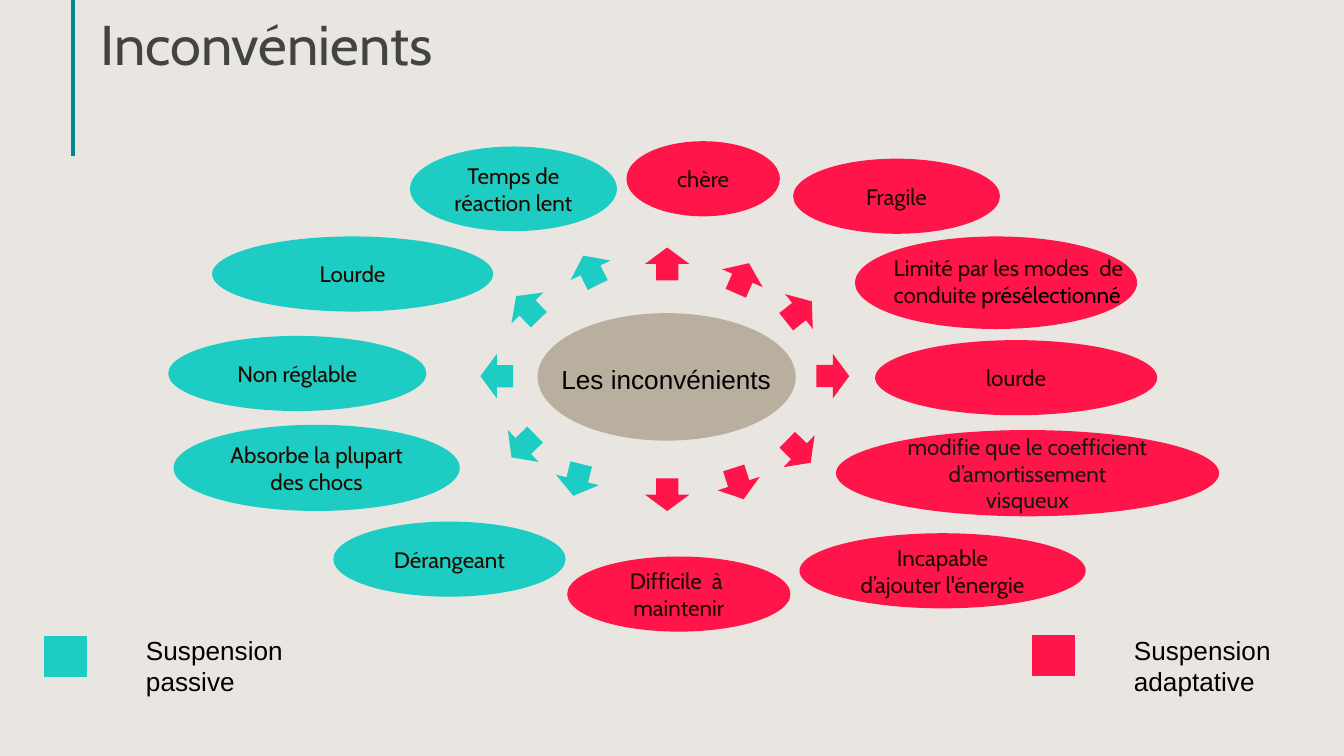
import pptx
import pptx.dml.color
import pptx.enum.shapes
import pptx.enum.text
import pptx.oxml.ns
import pptx.util
from lxml import etree

Cm = pptx.util.Cm
Pt = pptx.util.Pt
Shape = pptx.enum.shapes.MSO_SHAPE
Anchor = pptx.enum.text.MSO_ANCHOR
Align = pptx.enum.text.PP_ALIGN

COLORS = {
    "background": "E9E6E1", "rule": "018790", "title": "434343",
    "passive": "1DCDC3", "adaptive": "FF154A", "hub": "B9AF9F",
    "label": "1F0B00", "long label": "1A1813", "black": "000000",
}


def rgb(name):
    return pptx.dml.color.RGBColor.from_string(COLORS[name])


def add_box(kind, left, top, width, height, fill=None, text="", size=12,
            font="Cabin", color="label", align=Align.LEFT, anchor=Anchor.TOP):
    """Add a filled shape, or a text box when kind is None."""
    area = Cm(left), Cm(top), Cm(width), Cm(height)
    if kind is None:
        box = page.shapes.add_textbox(*area)
    else:
        box = page.shapes.add_shape(kind, *area)
        box.shadow.inherit = False
        box.fill.solid()
        box.fill.fore_color.rgb = rgb(fill)
        box.line.fill.background()
    if text:
        frame = box.text_frame
        frame.word_wrap = True
        frame.vertical_anchor = anchor
        frame.margin_left = frame.margin_right = Cm(0.25)
        frame.margin_top = frame.margin_bottom = Cm(0.25 if size == 30 else 0.13)
        para = frame.paragraphs[0]
        para.text = text
        para.alignment = align
        para.font.size = Pt(size)
        para.font.name = font
        para.font.color.rgb = rgb(color)
    return box


deck = pptx.Presentation()
deck.slide_width, deck.slide_height = Cm(25.4), Cm(14.29)
page = deck.slides.add_slide(deck.slide_layouts[6])
page.background.fill.solid()
page.background.fill.fore_color.rgb = rgb("background")

# Vertical rule and title
rule = page.shapes.add_connector(pptx.enum.shapes.MSO_CONNECTOR.STRAIGHT,
                                 Cm(1.38), Cm(-0.18), Cm(1.38), Cm(2.95))
rule.line.color.rgb = rgb("rule")
rule.line.width = Pt(2.25)
etree.SubElement(rule._element.spPr, pptx.oxml.ns.qn("a:effectLst"))
title = add_box(None, 1.65, 0.1, 12.4, 1.6, text="Inconvénients", size=30,
                color="title", anchor=Anchor.BOTTOM)
title.text_frame.paragraphs[0].line_spacing = 0.8

# Hub
add_box(Shape.OVAL, 10.16, 5.92, 4.88, 2.41, "hub")

# Arrows clockwise from the top: centre x, centre y, rotation
arrow_width, arrow_height = 0.84, 0.62
arrows = [
    (12.61, 4.99, 0), (14.03, 5.26, 23.8), (15.1, 5.89, 51.5),
    (15.74, 7.11, 90), (15.1, 8.53, 134.4), (13.96, 9.14, 162.3),
    (12.61, 9.35, 180), (10.91, 9.07, 193.7), (9.89, 8.43, 225.9),
    (9.39, 7.11, 270), (9.97, 5.82, 316.2), (11.16, 5.11, 333.8),
]
for x, y, angle in arrows:
    arrow = add_box(Shape.UP_ARROW, x - arrow_width / 2, y - arrow_height / 2,
                    arrow_width, arrow_height,
                    "passive" if angle > 180 else "adaptive")
    arrow.rotation = angle

# Bubble whose wider label sits in its own text box
add_box(Shape.OVAL, 16.16, 4.47, 5.33, 1.75, "adaptive")
limits = add_box(None, 16.64, 4.67, 5.72, 1.27,
                 text="Limité par les modes  de conduite ")
span = limits.text_frame.paragraphs[0].add_run()
span.text = "présélectionné"
span.font.color.rgb = rgb("black")

# Labelled bubbles: left, top, width, height, text
bubbles = {
    "passive": [
        (6.3, 9.86, 4.39, 1.42, "Dérangeant"),
        (3.28, 8.03, 5.41, 1.63, "Absorbe la plupart des chocs"),
        (3.18, 6.35, 4.88, 1.42, "Non réglable"),
        (4.01, 4.47, 5.31, 1.42, "Lourde"),
        (7.75, 2.77, 3.91, 1.6, "Temps de réaction lent"),
    ],
    "adaptive": [
        (11.84, 2.67, 2.9, 1.42, "chère"),
        (14.99, 3, 3.91, 1.42, "Fragile"),
        (16.54, 6.43, 5.33, 1.42, "lourde"),
        (15.8, 8.13, 7.24, 1.63,
         "modifie que le coefficient d’amortissement visqueux"),
        (15.11, 10.08, 5.41, 1.42, "Incapable d’ajouter l'énergie"),
        (10.72, 10.52, 4.22, 1.42, "Difficile  à  maintenir"),
    ],
}
for group, items in bubbles.items():
    for left, top, width, height, text in items:
        add_box(Shape.FLOWCHART_CONNECTOR, left, top, width, height, group, text,
                color="long label" if text.startswith("modifie") else "label",
                align=Align.CENTER, anchor=Anchor.MIDDLE)

# Hub label
add_box(Shape.RECTANGLE, 10.36, 6.73, 4.5, 0.86, "hub", "Les inconvénients",
        size=14, font="Arial", color="black")

# Legend
for group, left, top, text in [("passive", 0.83, 12.03, "Suspension passive"),
                               ("adaptive", 19.5, 12.01, "Suspension adaptative")]:
    add_box(Shape.FLOWCHART_PROCESS, left, top, 0.82, 0.76, group)
    add_box(None, left + 1.68, 11.86, 4.8, 1.45, text=text, size=14,
            font="Arial", color="black")

deck.save("out.pptx")
